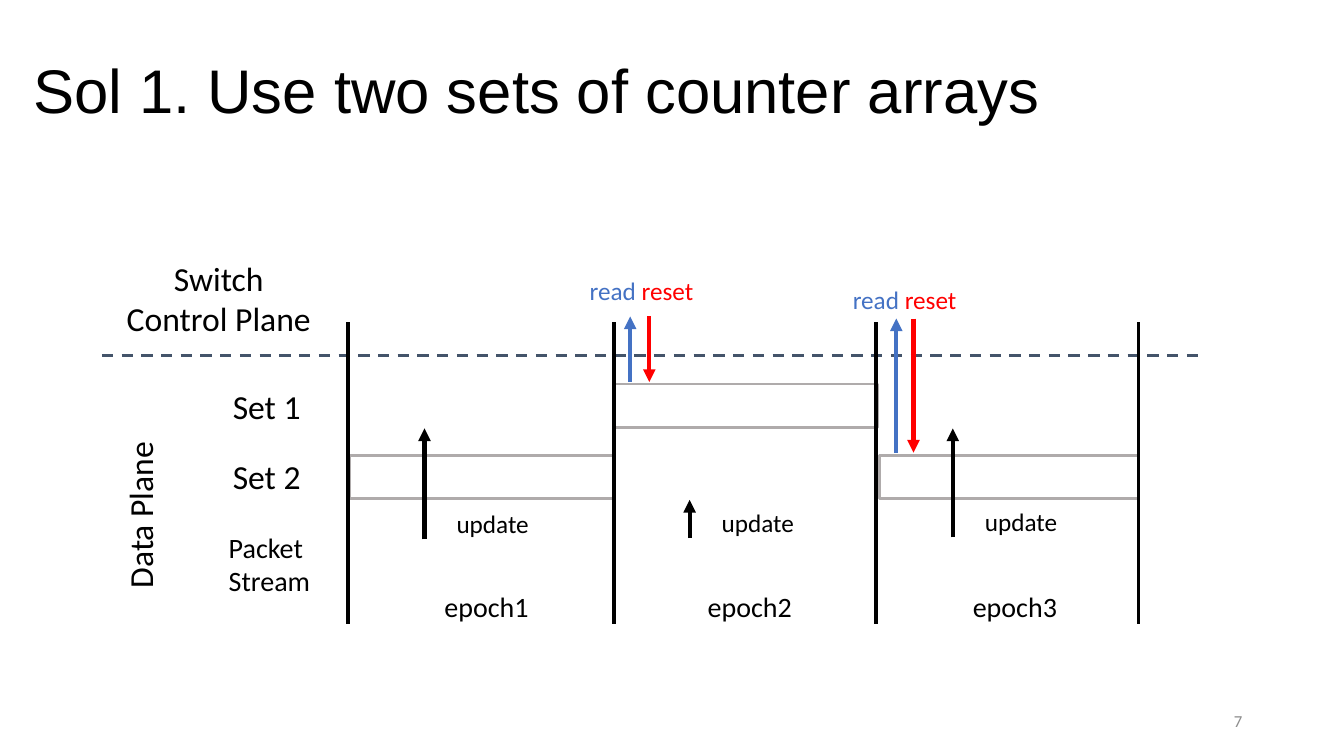
from lxml.etree import SubElement
from pptx import Presentation
from pptx.dml.color import RGBColor
from pptx.enum.dml import MSO_LINE
from pptx.enum.shapes import MSO_CONNECTOR, MSO_SHAPE
from pptx.enum.text import MSO_ANCHOR, PP_ALIGN
from pptx.oxml.ns import qn
from pptx.util import Pt

PX = 9144  # EMU per px, 100 px to the inch
SLIDE_SIZE = (1333, 750)

BLACK = RGBColor(0x00, 0x00, 0x00)
WHITE = RGBColor(0xFF, 0xFF, 0xFF)
GRAY = RGBColor(0x8C, 0x8C, 0x8C)
BOX_GRAY = RGBColor(0xAF, 0xAB, 0xAB)
SLATE = RGBColor(0x44, 0x54, 0x6A)
BLUE = RGBColor(0x44, 0x72, 0xC4)
RED = RGBColor(0xFF, 0x00, 0x00)

TITLE = "Sol 1. Use two sets of counter arrays"
PAGE_NUMBER = "7"

# text, (left, top, width, height), size, rotation, alignment
ROW_LABELS = [
    ("Switch\nControl Plane", (109, 251, 216, 91), 24, 0, PP_ALIGN.CENTER),
    ("Set 1", (215, 378, 99, 50), 24, 0, PP_ALIGN.CENTER),
    ("Set 2", (215, 447, 99, 50), 24, 0, PP_ALIGN.CENTER),
    ("Packet\nStream", (217, 521, 114, 77), 20, 0, PP_ALIGN.LEFT),
    ("Data Plane", (43, 486, 191, 50), 24, 270, PP_ALIGN.CENTER),
]

# box (left, top, width), update arrow (x, bottom, top)
EPOCHS = [
    {"name": "epoch1", "name_left": 431, "box": (347, 452, 262), "update": (421, 535, 425)},
    {"name": "epoch2", "name_left": 692, "box": (608, 381, 262), "update": (684, 534, 496)},
    {"name": "epoch3", "name_left": 955, "box": (872, 452, 257), "update": (945, 533, 425)},
]
BOX_HEIGHT = 43
EPOCH_NAME_TOP = 580
BOUNDARIES = [345, 609, 869, 1129]
BOUNDARY_TOP, BOUNDARY_BOTTOM = 319, 619
PLANE_DIVIDER = (101, 353, 1192, 353)

# read x, reset x, top, bottom, label left, label top
COLLECTIONS = [
    (625, 644, 314, 379, 575, 268),
    (889, 906, 316, 449, 836, 277),
]


def scaled(*lengths):
    return [length * PX for length in lengths]


def add_text(slide, area, lines, size, font="Calibri", align=PP_ALIGN.LEFT,
             anchor=MSO_ANCHOR.TOP):
    """Add a text box; each line is a list of (text, colour) runs."""
    shape = slide.shapes.add_textbox(*scaled(*area))
    frame = shape.text_frame
    frame.word_wrap = True
    frame.vertical_anchor = anchor
    for index, runs in enumerate(lines):
        paragraph = frame.paragraphs[0] if index == 0 else frame.add_paragraph()
        paragraph.alignment = align
        for text, color in runs:
            run = paragraph.add_run()
            run.text = text
            run.font.name = font
            run.font.size = Pt(size)
            run.font.color.rgb = color
    return shape


def add_line(slide, points, color, weight, arrow=False):
    """Draw a straight line, with an optional arrowhead at its end."""
    connector = slide.shapes.add_connector(MSO_CONNECTOR.STRAIGHT, *scaled(*points))
    connector.line.color.rgb = color
    connector.line.width = Pt(weight)
    properties = connector._element.spPr
    if arrow:
        SubElement(properties.find(qn("a:ln")), qn("a:tailEnd"), type="triangle")
    SubElement(properties, qn("a:effectLst"))
    return connector


def add_counter_box(slide, left, top, width):
    shape = slide.shapes.add_shape(
        MSO_SHAPE.RECTANGLE, *scaled(left, top, width, BOX_HEIGHT))
    shape.shadow.inherit = False
    shape.fill.solid()
    shape.fill.fore_color.rgb = WHITE
    fill_color = shape._element.spPr.find(qn("a:solidFill"))[0]
    SubElement(fill_color, qn("a:alpha"), val="70000")
    shape.line.color.rgb = BOX_GRAY
    shape.line.width = Pt(2)


def main():
    presentation = Presentation()
    presentation.slide_width, presentation.slide_height = scaled(*SLIDE_SIZE)
    slide = presentation.slides.add_slide(presentation.slide_layouts[6])

    for epoch in EPOCHS:
        add_counter_box(slide, *epoch["box"])

    title = add_text(slide, (23, 20, 1165, 145), [[(TITLE, BLACK)]], 44,
                     font="Arial", anchor=MSO_ANCHOR.MIDDLE)
    title.text_frame.paragraphs[0].line_spacing = 0.9
    add_text(slide, (942, 695, 300, 40), [[(PAGE_NUMBER, GRAY)]], 12,
             align=PP_ALIGN.RIGHT, anchor=MSO_ANCHOR.MIDDLE)

    divider = add_line(slide, PLANE_DIVIDER, SLATE, 2)
    divider.line.dash_style = MSO_LINE.DASH
    for x in BOUNDARIES:
        add_line(slide, (x, BOUNDARY_BOTTOM, x, BOUNDARY_TOP), BLACK, 2.5)

    for text, area, size, rotation, align in ROW_LABELS:
        lines = [[(line, BLACK)] for line in text.split("\n")]
        label = add_text(slide, area, lines, size, align=align)
        label.rotation = rotation

    for epoch in EPOCHS:
        add_text(slide, (epoch["name_left"], EPOCH_NAME_TOP, 107, 44),
                 [[(epoch["name"], BLACK)]], 20)
        x, bottom, top = epoch["update"]
        add_line(slide, (x, bottom, x, top), BLACK, 3, arrow=True)
        add_text(slide, (x + 22, bottom - 36, 107, 40), [[("update", BLACK)]], 18)

    for read_x, reset_x, top, bottom, label_left, label_top in COLLECTIONS:
        add_line(slide, (read_x, bottom, read_x, top), BLUE, 3, arrow=True)
        add_line(slide, (reset_x, top, reset_x, bottom), RED, 3, arrow=True)
        add_text(slide, (label_left, label_top, 156, 40),
                 [[("read ", BLUE), ("reset", RED)]], 18)

    presentation.save("out.pptx")


if __name__ == "__main__":
    main()
